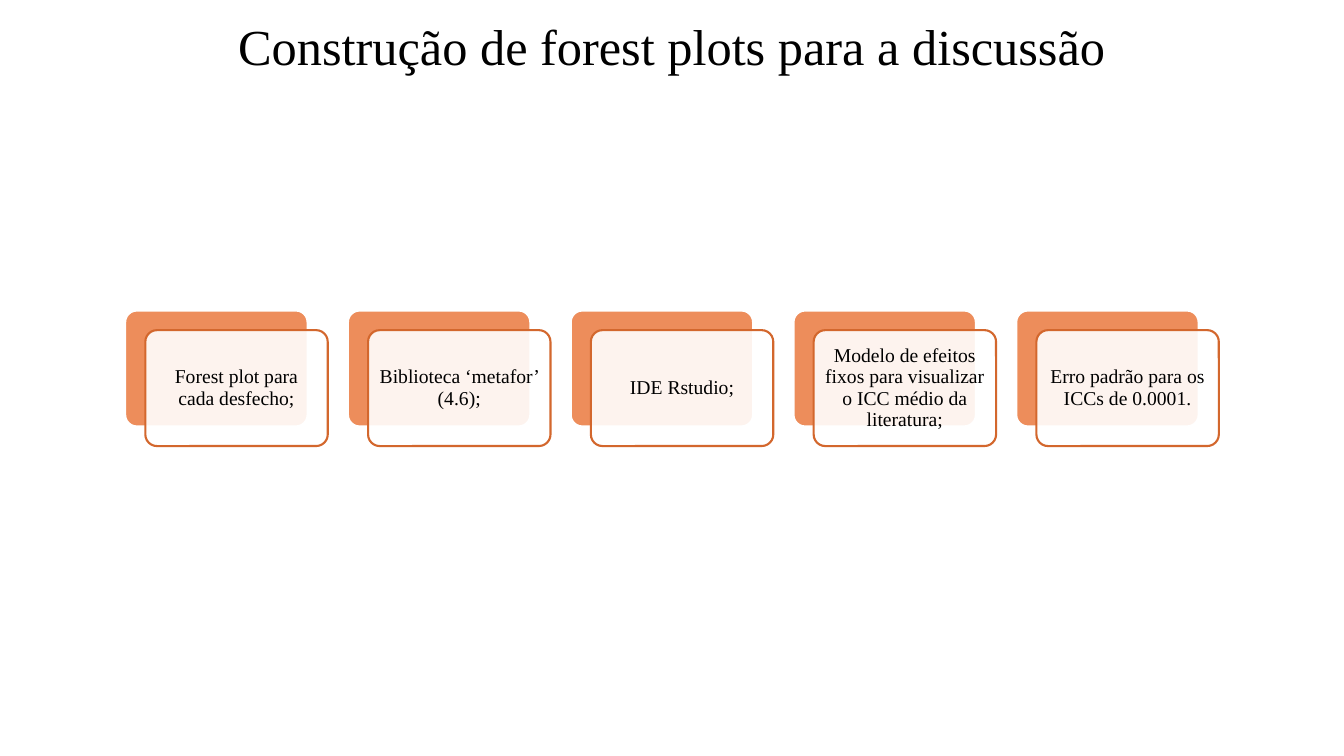
from pptx import Presentation
from pptx.dml.color import RGBColor
from pptx.enum.shapes import MSO_SHAPE as SHAPE
from pptx.enum.text import MSO_ANCHOR as ANCHOR, MSO_AUTO_SIZE as AUTO, PP_ALIGN as ALIGN
from pptx.oxml.ns import qn
from pptx.util import Pt
from lxml import etree

FONT = "Times New Roman"
TITLE = "Construção de forest plots para a discussão"
STEPS = [
    "Forest plot para cada desfecho;",
    "Biblioteca ‘metafor’ (4.6);",
    "IDE Rstudio;",
    "Modelo de efeitos fixos para visualizar o ICC médio da literatura;",
    "Erro padrão para os ICCs de 0.0001.",
]
CARD_W, CARD_H = 130.3, 82.8
SHIFT_X, SHIFT_Y = 14.4, 14


def rgb(value):
    return RGBColor.from_string(value)


def write(sp, text, size, margin):
    """Put one centred paragraph in the shape."""
    tf = sp.text_frame
    frame = {"word_wrap": True, "auto_size": AUTO.NONE, "vertical_anchor": ANCHOR.MIDDLE}
    sides = ("margin_left", "margin_top", "margin_right", "margin_bottom")
    frame.update({side: Pt(margin) for side in sides})
    for name, value in frame.items():
        setattr(tf, name, value)
    p = tf.paragraphs[0]
    p.alignment, p.line_spacing = ALIGN.CENTER, 0.9
    r = p.add_run()
    r.text = text
    for name, value in {"name": FONT, "size": Pt(size)}.items():
        setattr(r.font, name, value)
    r.font.color.rgb = rgb("000000")


def add_card(s, x, y, fill, opacity, line):
    sp = s.shapes.add_shape(SHAPE.ROUNDED_RECTANGLE, Pt(x), Pt(y), Pt(CARD_W), Pt(CARD_H))
    sp.adjustments[0] = 0.1
    sp.shadow.inherit = False
    sp.fill.solid()
    sp.fill.fore_color.rgb = rgb(fill)
    color = sp.fill._xPr.find(qn("a:solidFill"))[0]
    etree.SubElement(color, qn("a:alpha")).set("val", str(opacity * 1000))
    sp.line.color.rgb = rgb(line)
    sp.line.width = Pt(1.5)
    return sp


def add_title(s, x, y, w, h):
    sp = s.shapes.title
    box = {"left": x, "top": y, "width": w, "height": h}
    for name, value in box.items():
        setattr(sp, name, Pt(value))
    write(sp, TITLE, 36, 3.6)


def add_steps(s, x, y, w):
    """Spread the steps over the width, each an orange card under a white one."""
    pitch = (w - CARD_W - SHIFT_X) / (len(STEPS) - 1)
    for i, text in enumerate(STEPS):
        left = x + i * pitch
        add_card(s, left, y, "E97132", 80, "FFFFFF")
        front = add_card(s, left + SHIFT_X, y + SHIFT_Y, "FFFFFF", 90, "D3672D")
        write(front, text, 14, 4.5)


def main():
    prs = Presentation()
    prs.slide_width, prs.slide_height = Pt(960), Pt(540)
    s = prs.slides.add_slide(prs.slide_layouts[5])
    add_title(s, 0, 13.7, 960, 43.2)
    add_steps(s, 89.4, 221.8, 781.2)
    prs.save("out.pptx")


if __name__ == "__main__":
    main()
